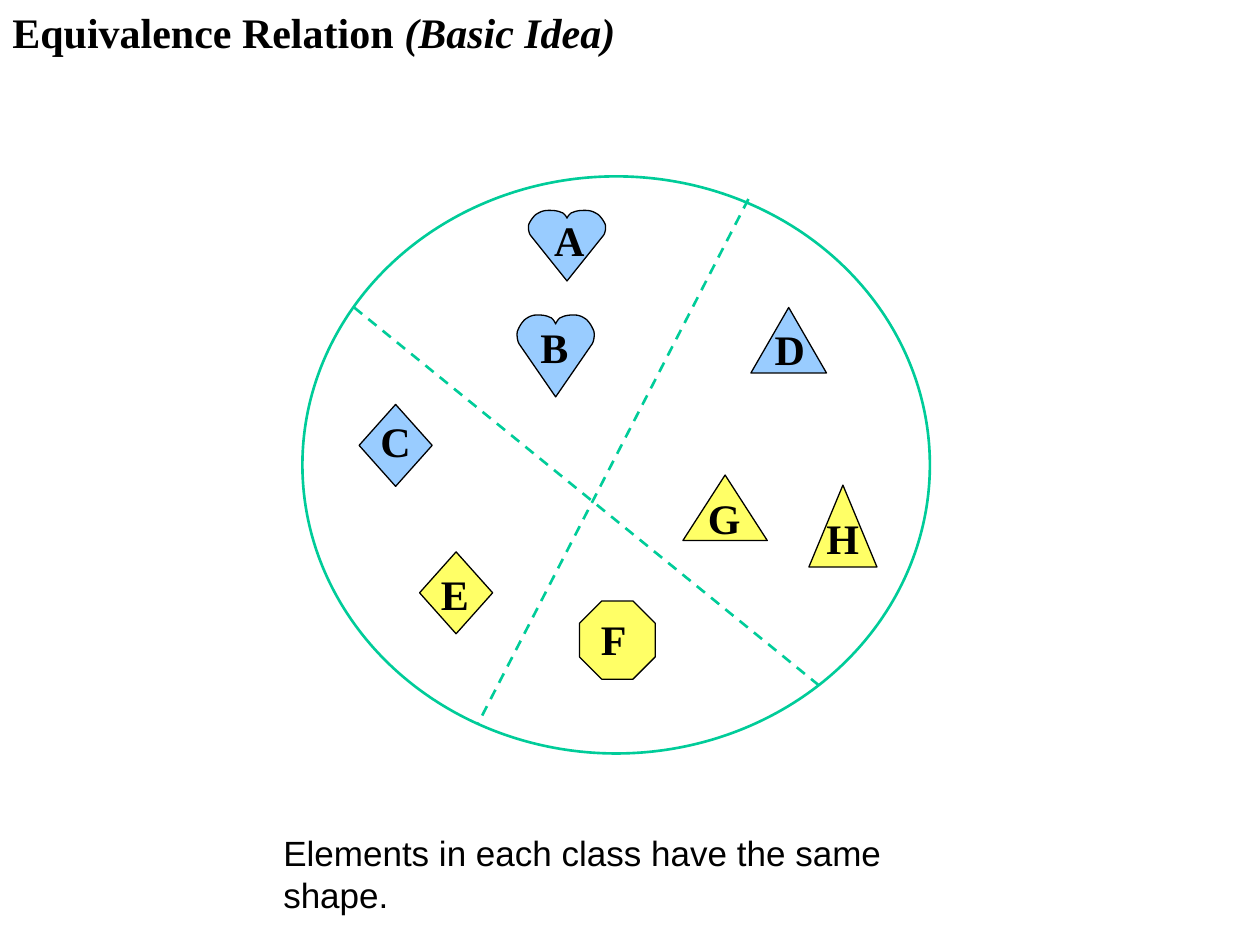
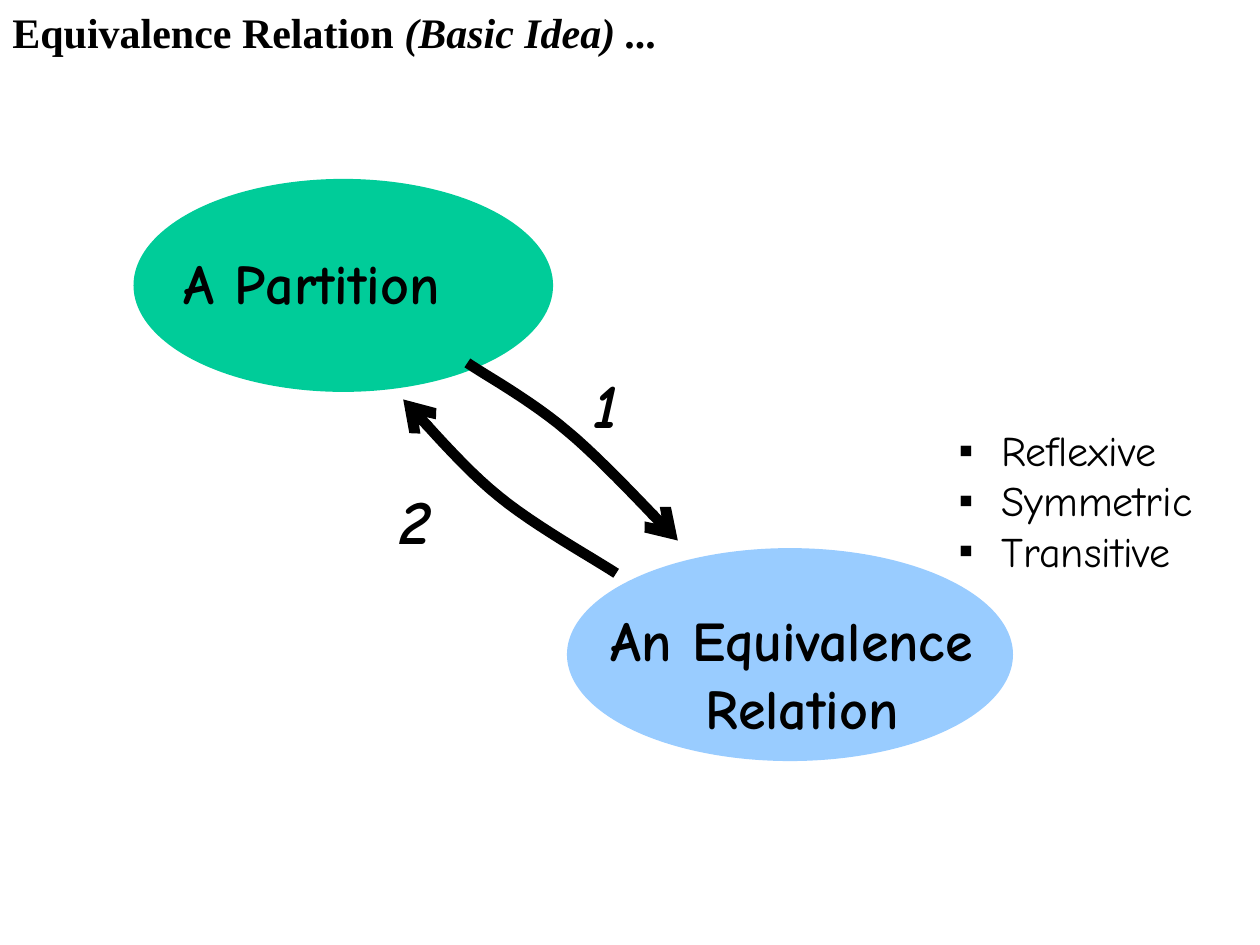
from itertools import chain
from lxml import etree
from pptx import Presentation
from pptx import util as u
from pptx.dml.color import RGBColor
from pptx.enum import dml, shapes, text
from pptx.oxml import ns

BLACK, GREEN, BLUE, YELLOW = "000000", "00CC99", "99CCFF", "FFFF66"
SERIF, SANS, COMIC = "Times New Roman", "Arial", "Comic Neue"
COLS, ROWS = 100, 75
HEART_TOP = (0.5, 0.11)
HEART_LOBE = [
    [(0.49, 0.08), (0.45, 0.03), (0.43, 0.03)],
    [(0.37, 0), (0.31, 0), (0.26, 0)],
    [(0.19, 0), (0.14, 0.03), (0.1, 0.06)],
    [(0.06, 0.1), (0.03, 0.15), (0.01, 0.2)],
    [(0, 0.25), (0.01, 0.31), (0.03, 0.35)],
]


def rgb(value):
    return RGBColor.from_string(value)


def curve(start, segments, steps=12):
    points = [start]
    for b, c, d in segments:
        a = points[-1]
        for i in range(1, steps + 1):
            t = i / steps
            weights = ((1 - t) ** 3, 3 * t * (1 - t) ** 2, 3 * t * t * (1 - t), t ** 3)
            points.append(tuple(sum(k * q[axis] for k, q in zip(weights, (a, b, c, d)))
                                for axis in (0, 1)))
    return points


class Deck:
    """Holds the style and the current slide, measured on a grid of columns and rows."""

    def __init__(self):
        self.prs = Presentation()
        self.prs.slide_width, self.prs.slide_height = u.Inches(10), u.Inches(7.5)
        self.s = None

    def x(self, cols):
        return round(self.prs.slide_width * cols / COLS)

    def y(self, rows):
        return round(self.prs.slide_height * rows / ROWS)

    def box(self, x, y, w, h):
        return self.x(x), self.y(y), self.x(w), self.y(h)

    def slide(self, title, idea, width):
        self.s = self.prs.slides.add_slide(self.prs.slide_layouts[6])
        p = self.text((0, 0, width, 5), [title], 24, SERIF, bold=True).paragraphs[0]
        r = p.add_run()
        r.text = idea
        self.font(r, 24, SERIF, True, True)

    def font(self, r, size, name, bold, italic):
        r.font.size, r.font.name = u.Pt(size), name
        r.font.bold, r.font.italic = bold, italic
        r.font.color.rgb = rgb(BLACK)

    def text(self, box, lines, size, name, bold=False, italic=False, align=None):
        tf = self.s.shapes.add_textbox(*self.box(*box)).text_frame
        tf.word_wrap = True
        tf.auto_size = text.MSO_AUTO_SIZE.SHAPE_TO_FIT_TEXT
        tf.text = "\n".join(lines)
        for p in tf.paragraphs:
            p.alignment = align
            for r in p.runs:
                self.font(r, size, name, bold, italic)
        return tf

    def bullets(self, box, lines, size, name):
        for p in self.text(box, lines, size, name).paragraphs:
            pPr = p._p.get_or_add_pPr()
            pPr.set("marL", str(self.x(3.4)))
            pPr.set("indent", str(-self.x(3.4)))
            etree.SubElement(pPr, ns.qn("a:buFont")).set("typeface", SANS)
            etree.SubElement(pPr, ns.qn("a:buChar")).set("char", "▪")

    def paint(self, sp, fill, line, width):
        sp.shadow.inherit = False
        if fill:
            sp.fill.solid()
            sp.fill.fore_color.rgb = rgb(fill)
        else:
            sp.fill.background()
        if line:
            sp.line.color.rgb = rgb(line)
            sp.line.width = u.Pt(width)
        else:
            sp.line.fill.background()

    def shape(self, kind, box, fill=None, line=None, width=0.75):
        sp = self.s.shapes.add_shape(kind, *self.box(*box))
        self.paint(sp, fill, line, width)

    def outline(self, points, close, fill, line, width):
        (x, y), *rest = [(self.x(a), self.y(b)) for a, b in points]
        builder = self.s.shapes.build_freeform(x, y)
        builder.add_line_segments(rest, close=close)
        sp = builder.convert_to_shape()
        self.paint(sp, fill, line, width)
        return sp

    def heart(self, box, fill):
        x, y, w, h = box
        left = curve(HEART_TOP, HEART_LOBE, 6) + [(0.5, 1)]
        right = [(1 - a, b) for a, b in reversed(left[1:-1])]
        points = [(x + a * w, y + b * h) for a, b in chain(left, right)]
        self.outline(points, True, fill, BLACK, 0.75)

    def arrow(self, start, segments):
        sp = self.outline(curve(start, segments), False, None, BLACK, 6)
        etree.SubElement(sp.line._get_or_add_ln(), ns.qn("a:tailEnd")).set("type", "arrow")

    def dashed(self, start, end):
        (x1, y1), (x2, y2) = start, end
        c = self.s.shapes.add_connector(shapes.MSO_CONNECTOR.STRAIGHT, self.x(x1),
                                        self.y(y1), self.x(x2), self.y(y2))
        c.line.color.rgb = rgb(GREEN)
        c.line.width = u.Pt(1.5)
        c.line.dash_style = dml.MSO_LINE.DASH
        etree.SubElement(c._element.spPr, ns.qn("a:effectLst"))

    def element(self, letter, at, kind, box, fill):
        if kind == "heart":
            self.heart(box, fill)
        else:
            self.shape(kind, box, fill, BLACK)
        self.text((*at, 4.5, 5), [letter], 24, SERIF, bold=True)


MS = shapes.MSO_SHAPE
TRIANGLE, DIAMOND = MS.ISOSCELES_TRIANGLE, MS.DIAMOND
deck = Deck()

deck.slide("Equivalence Relation ", "(Basic Idea)", 50.7)
deck.shape(MS.OVAL, (24, 14, 49.8, 45.8), line=GREEN, width=1.5)
deck.dashed((28.1, 24.4), (65, 54.4))
deck.dashed((59.4, 15.8), (37.9, 57.5))
for item in [
    ("A", (43, 16.5), "heart", (41.9, 16.7, 6.2, 5.6), BLUE),
    ("B", (41.9, 25), "heart", (41, 25, 6.2, 6.5), BLUE),
    ("C", (29.2, 32.5), DIAMOND, (28.5, 32.1, 5.8, 6.5), BLUE),
    ("D", (60.5, 25.2), TRIANGLE, (59.6, 24.4, 6, 5.2), BLUE),
    ("E", (34, 44.6), DIAMOND, (33.3, 43.8, 5.8, 6.5), YELLOW),
    ("F", (46.7, 48.2), MS.OCTAGON, (46, 47.7, 6, 6.2), YELLOW),
    ("G", (55.2, 38.6), TRIANGLE, (54.2, 37.7, 6.7, 5.2), YELLOW),
    ("H", (64.6, 40.2), TRIANGLE, (64.2, 38.5, 5.4, 6.5), YELLOW),
]:
    deck.element(*item)
deck.text((21.5, 65.5, 56, 7.6), ["Elements in each class have the same shape."], 20, SANS)

deck.slide("Equivalence Relation ", "(Basic Idea) ...", 54)
deck.shape(MS.OVAL, (45, 43.5, 35.4, 16.9), BLUE)
deck.shape(MS.OVAL, (10.6, 14.2, 33.3, 16.9), GREEN)
deck.text((13.6, 19.2, 25.5, 6.3), ["A Partition"], 32, COMIC, bold=True)
deck.text((45.9, 47.6, 35.5, 11.7), ["An Equivalence ", "Relation"], 32, COMIC,
          bold=True, align=text.PP_ALIGN.CENTER)
deck.bullets((75.1, 33.2, 21.4, 13), ["Reflexive", "Symmetric", "Transitive"], 24, COMIC)
deck.arrow((48.9, 45.5), [[(46.9, 44.2), (42.4, 41.7), (39.6, 39.4)],
                          [(36.7, 37.1), (33.3, 33), (32, 31.7)]])
deck.arrow((37.1, 28.8), [[(38.4, 29.7), (42.2, 31.8), (45, 34.2)],
                          [(47.8, 36.5), (52, 41.1), (53.8, 42.9)]])
for number, x, y in [("1", 46.1, 28.5), ("2", 30.7, 37.7)]:
    deck.text((x, y, 5.1, 7), [number], 36, COMIC, bold=True, italic=True)

deck.prs.save("out.pptx")
